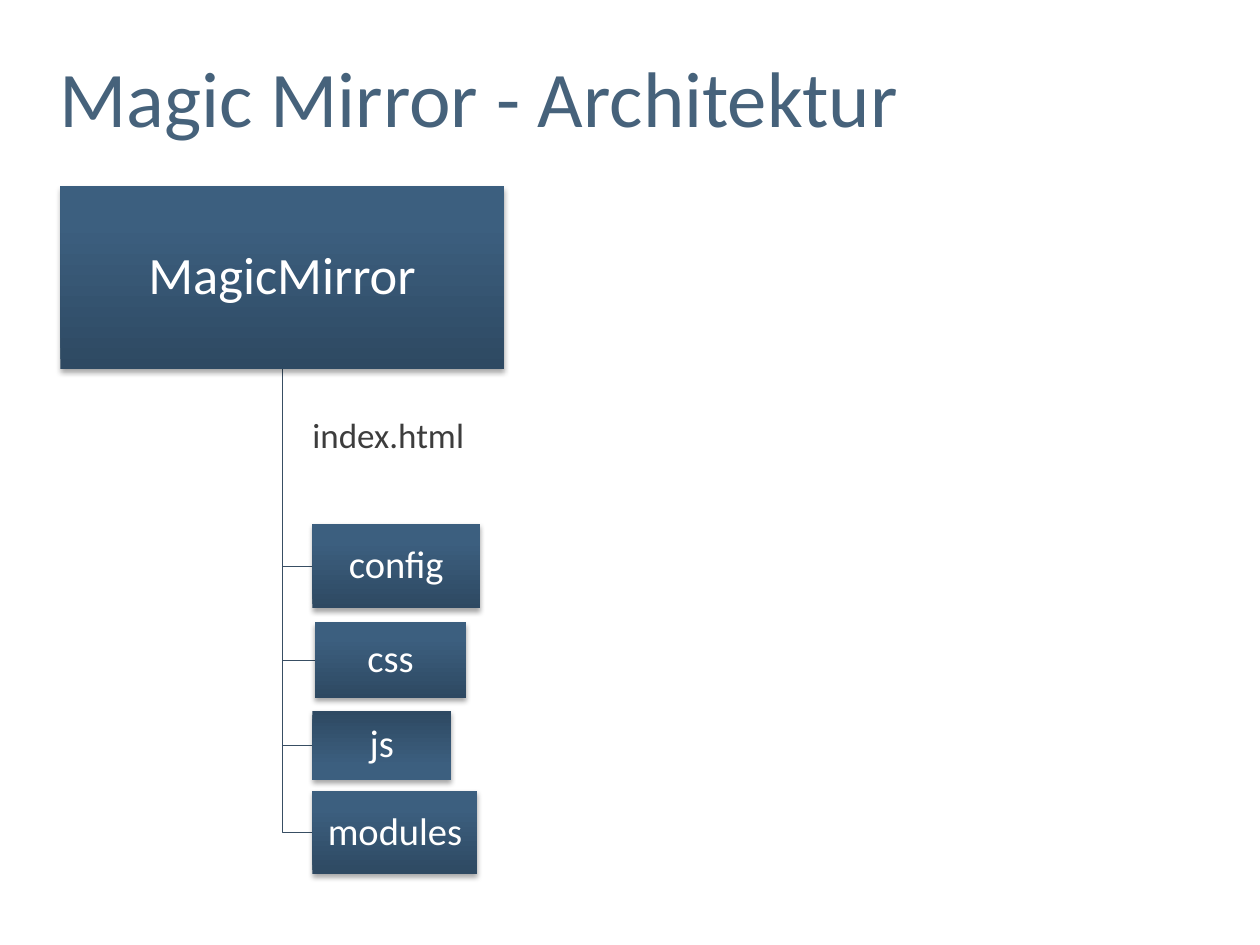
from copy import deepcopy

from lxml import etree
from pptx import Presentation
from pptx.dml.color import RGBColor
from pptx.enum import shapes, text
from pptx.oxml import ns
from pptx.util import Inches, Pt

COLORS = {
    "title": "46627B",
    "label": "3D3D3D",
    "node_text": "FFFFFF",
    "line": "384E63",
    "dark": "2E4962",
    "mid": "3C5F7F",
    "light": "3B6081",
    "shadow": "000000",
}
FONT = "Calibri"

ROOT = ("MagicMirror", (0.48, 1.48, 3.52, 1.45))
# Name, box, gradient angle
FOLDERS = [
    ("config", (2.48, 4.16, 1.33, 0.67), 90),
    ("css", (2.5, 4.94, 1.2, 0.6), 90),
    ("js", (2.48, 5.64, 1.1, 0.55), 270),
    ("modules", (2.48, 6.28, 1.31, 0.66), 90),
]


def rgb(name):
    return RGBColor.from_string(COLORS[name])


def set_text(tf, wording, size, color, margin=0.0):
    tf.margin_left = tf.margin_right = Inches(margin)
    tf.margin_top = tf.margin_bottom = Inches(margin)
    tf.text = wording
    p = tf.paragraphs[0]
    font = p.runs[0].font
    font.name, font.size = FONT, Pt(size)
    font.color.rgb = rgb(color)
    return p


def add_title(s, wording, box):
    title = s.shapes.title
    title.left, title.top, title.width, title.height = map(Inches, box)
    tf = title.text_frame
    tf.auto_size = text.MSO_AUTO_SIZE.NONE
    tf.vertical_anchor = text.MSO_ANCHOR.TOP
    p = set_text(tf, wording, 45, "title")
    p.alignment = text.PP_ALIGN.LEFT
    p.line_spacing = Pt(45)


def fill_gradient(sp, angle):
    sp.fill.gradient()
    sp.fill.gradient_angle = angle
    stop_list = sp._element.spPr.find(".//" + ns.qn("a:gsLst"))
    stop_list.append(deepcopy(stop_list[-1]))
    stops = [(0, "dark"), (0.8, "mid"), (1, "light")]
    for stop, (position, color) in zip(sp.fill.gradient_stops, stops):
        stop.position = position
        stop.color.rgb = rgb(color)


def add_shadow(sp):
    sp.shadow.inherit = False
    effects = sp._element.spPr.find(ns.qn("a:effectLst"))
    shadow = etree.SubElement(
        effects, ns.qn("a:outerShdw"), blurRad=str(Pt(3.1)), dist=str(Pt(1.8)),
        dir="5400000", rotWithShape="0")
    color = etree.SubElement(shadow, ns.qn("a:srgbClr"), val=COLORS["shadow"])
    etree.SubElement(color, ns.qn("a:alpha"), val="35000")


def add_node(s, name, box, size, angle=90):
    sp = s.shapes.add_shape(shapes.MSO_SHAPE.RECTANGLE, *map(Inches, box))
    fill_gradient(sp, angle)
    sp.line.fill.background()
    add_shadow(sp)
    tf = sp.text_frame
    tf.vertical_anchor = text.MSO_ANCHOR.MIDDLE
    p = set_text(tf, name, size, "node_text", margin=0.02)
    p.alignment = text.PP_ALIGN.CENTER
    p.line_spacing = 0.9


def add_branch(s, parent, child):
    """Elbow from the parent's bottom centre to the child's left centre."""
    x, y = parent[0] + parent[2] / 2, parent[1] + parent[3]
    end_x, end_y = child[0], child[1] + child[3] / 2
    builder = s.shapes.build_freeform(Inches(x), Inches(y))
    builder.add_line_segments(
        [(Inches(x), Inches(end_y)), (Inches(end_x), Inches(end_y))], close=False)
    sp = builder.convert_to_shape()
    sp.fill.background()
    sp.line.color.rgb = rgb("line")
    sp.line.width = Pt(0.75)
    sp.shadow.inherit = False


def add_tree(s, root, folders):
    root_name, root_box = root
    # Branches lie behind the boxes
    for _, box, _ in folders:
        add_branch(s, root_box, box)
    add_node(s, root_name, root_box, 30)
    for name, box, angle in folders:
        add_node(s, name, box, 22, angle)


def add_file_label(s, wording, box):
    tf = s.shapes.add_textbox(*map(Inches, box)).text_frame
    tf.word_wrap = True
    p = set_text(tf, wording, 20, "label")
    p.alignment = text.PP_ALIGN.LEFT


def main():
    prs = Presentation()
    prs.slide_width, prs.slide_height = Inches(10), Inches(7.5)
    s = prs.slides.add_slide(prs.slide_layouts[5])
    add_title(s, "Magic Mirror - Architektur", (0.47, 0.51, 8.94, 1.26))
    add_tree(s, ROOT, FOLDERS)
    # Wide enough to hold the file name on one line
    add_file_label(s, "index.html", (2.48, 3.28, 1.5, 0.4))
    prs.save("out.pptx")


if __name__ == "__main__":
    main()
